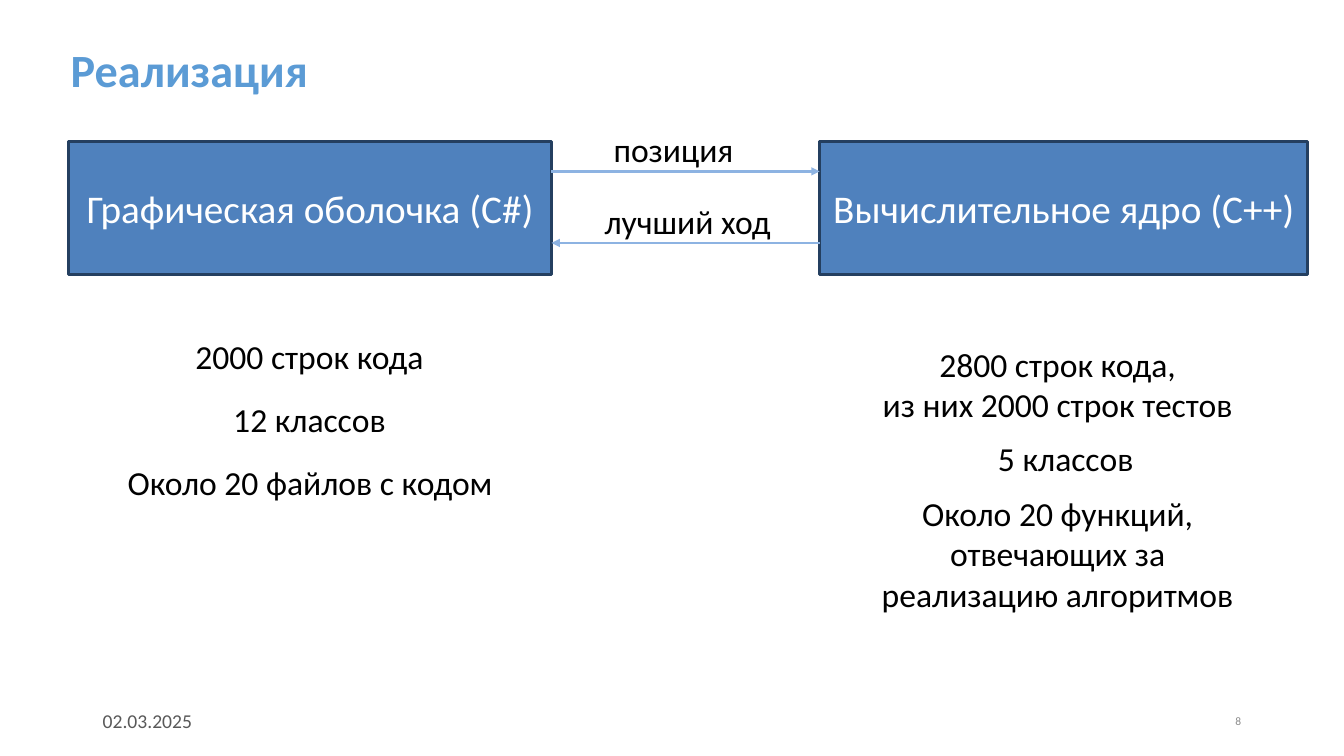
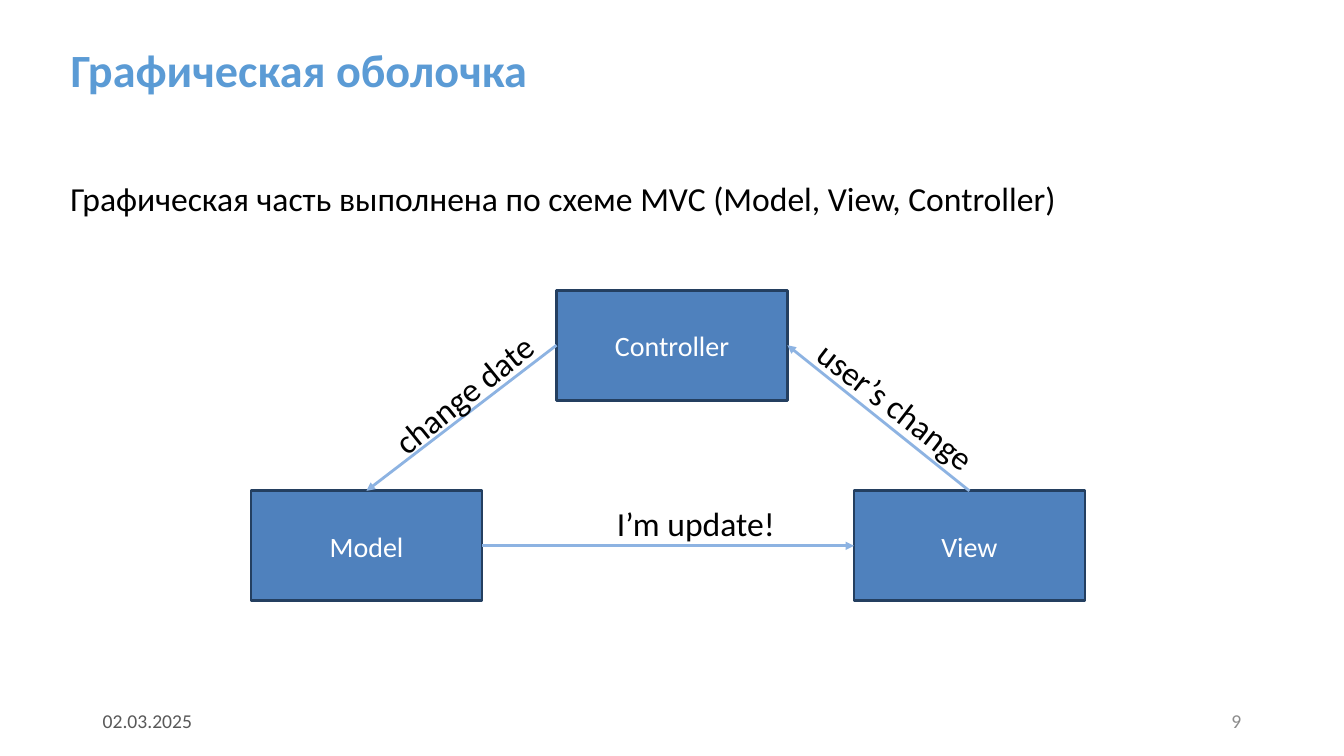
"""Two slides on an implementation: its two parts, and the MVC scheme of its shell."""
from dataclasses import dataclass

from lxml import etree
from pptx import Presentation
from pptx.dml.color import RGBColor
from pptx.enum.shapes import MSO_CONNECTOR, MSO_SHAPE
from pptx.enum.text import MSO_ANCHOR, MSO_AUTO_SIZE, PP_ALIGN
from pptx.oxml.ns import qn
from pptx.util import Inches, Pt

LEFT, CENTER, RIGHT = PP_ALIGN.LEFT, PP_ALIGN.CENTER, PP_ALIGN.RIGHT
TOP, MIDDLE = MSO_ANCHOR.TOP, MSO_ANCHOR.MIDDLE
STRAIGHT = MSO_CONNECTOR.STRAIGHT
PROCESS = MSO_SHAPE.FLOWCHART_PROCESS
SIDE_TOP, SIDE_LEFT, SIDE_RIGHT = 0, 1, 3


@dataclass(frozen=True)
class Theme:
    """Colours, type sizes and line width shared by the slides."""
    font: str = "Calibri"
    accent: str = "5B9BD5"
    ink: str = "000000"
    white: str = "FFFFFF"
    fill: str = "4F81BD"
    outline: str = "243F60"
    arrow: str = "8DB3E2"
    date: str = "595959"
    number: str = "8C8C8C"
    title_size: float = 33
    part_size: float = 28
    text_size: float = 24
    node_size: float = 20
    footer_size: float = 14
    small_size: float = 8.2
    line_width: float = 2


THEME = Theme()
WIDTH, HEIGHT = 13.33, 7.5
TITLE_AREA = (0.6, 0.13, 9.37, 1.18)
FOOTER_TOP, FOOTER_WIDTH, FOOTER_HEIGHT = 6.95, 3, 0.4
FOOTER_MARGIN = 0.92
ROW = 0.5
DATE = "02.03.2025"

PART_TOP, PART_HEIGHT = 1.4, 1.32
PARTS = [("Графическая оболочка (C#)", 0.68, 4.79), ("Вычислительное ядро (C++)", 8.13, 4.84)]
MESSAGES = [
    ("позиция", 1.7, (5.98, 1.23, 1.4, 0.37), False),
    ("лучший ход", 2.41, (5.47, 1.94, 2.7, 0.37), True),
]
STATS = [
    ("2000 строк кода", (0.65, 3.28, 4.84, ROW)),
    ("12 классов", (0.65, 3.91, 4.84, ROW)),
    ("Около 20 файлов с кодом", (1.12, 4.53, 3.91, ROW)),
    ("2800 строк кода,\nиз них 2000 строк тестов", (8.07, 3.36, 4.84, 0.91)),
    ("5 классов", (8.15, 4.3, 4.84, ROW)),
    ("Около 20 функций, отвечающих за реализацию алгоритмов", (8.46, 4.84, 4.06, 1.31)),
]

SCHEME = "Графическая часть выполнена по схеме MVC (Model, View, Controller)"
NODE_WIDTH, NODE_HEIGHT = 2.29, 1.09
NODES = {"View": (8.47, 4.87), "Controller": (5.52, 2.88), "Model": (2.49, 4.87)}
LINKS = [
    ("Model", SIDE_RIGHT, "View", SIDE_LEFT),
    ("View", SIDE_TOP, "Controller", SIDE_RIGHT),
    ("Controller", SIDE_LEFT, "Model", SIDE_TOP),
]
LINK_LABELS = [
    ("I’m update!", (6.02, 4.94, 1.78, ROW), 0),
    ("user’s change", (7.81, 3.94, 2.58, ROW), 37.8),
    ("change date", (3.67, 3.65, 1.87, ROW), 321.1),
]


def color(value):
    """Turn a hex string into a colour."""
    return RGBColor.from_string(value)


def write(shape, text, size=THEME.text_size, ink=THEME.ink, bold=False,
          align=LEFT, anchor=TOP, wrap=True, spacing=None):
    """Fill a shape with formatted text, one paragraph a line."""
    frame = shape.text_frame
    frame.text = text
    frame.auto_size = MSO_AUTO_SIZE.NONE
    frame.word_wrap = wrap
    frame.vertical_anchor = anchor
    for para in frame.paragraphs:
        para.alignment = align
        para.line_spacing = spacing
        for span in para.runs:
            span.font.name = THEME.font
            span.font.size = Pt(size)
            span.font.bold = bold
            span.font.color.rgb = color(ink)


def add_text(page, text, area, rotation=0, **style):
    """Add a text box."""
    box = page.shapes.add_textbox(*map(Inches, area))
    box.rotation = rotation
    write(box, text, **style)


def add_process(page, text, area, size):
    """Add a filled process box."""
    box = page.shapes.add_shape(PROCESS, *map(Inches, area))
    box.shadow.inherit = False
    box.fill.solid()
    box.fill.fore_color.rgb = color(THEME.fill)
    box.line.color.rgb = color(THEME.outline)
    box.line.width = Pt(THEME.line_width)
    write(box, text, size=size, ink=THEME.white, align=CENTER, anchor=MIDDLE)
    return box


def add_arrow(page, start=(0, 0), end=(0, 0)):
    """Add a straight arrow with its head at the end."""
    arrow = page.shapes.add_connector(STRAIGHT, *map(Inches, (*start, *end)))
    arrow.line.color.rgb = color(THEME.arrow)
    arrow.line.width = Pt(THEME.line_width)
    properties = arrow.line._get_or_add_ln()
    etree.SubElement(properties, qn("a:tailEnd"), type="triangle")
    etree.SubElement(properties.getparent(), qn("a:effectLst"))
    return arrow


def add_page(deck, title, number, number_size=THEME.footer_size):
    """Add a slide with its title, date and number."""
    page = deck.slides.add_slide(deck.slide_layouts[5])
    heading = page.shapes.title
    heading.left, heading.top, heading.width, heading.height = map(Inches, TITLE_AREA)
    write(heading, title, size=THEME.title_size, ink=THEME.accent, bold=True,
          anchor=MIDDLE, spacing=0.9)
    number_left = WIDTH - FOOTER_MARGIN - FOOTER_WIDTH
    footers = [
        (DATE, FOOTER_MARGIN, THEME.footer_size, THEME.date, LEFT),
        (number, number_left, number_size, THEME.number, RIGHT),
    ]
    for text, left, size, ink, align in footers:
        add_text(page, text, (left, FOOTER_TOP, FOOTER_WIDTH, FOOTER_HEIGHT),
                 size=size, ink=ink, align=align, anchor=MIDDLE)
    return page


def build_parts(deck):
    """Build the slide with the two program parts."""
    page = add_page(deck, "Реализация", "8", THEME.small_size)
    for text, left, width in PARTS:
        add_process(page, text, (left, PART_TOP, width, PART_HEIGHT), THEME.part_size)
    shell_edge = PARTS[0][1] + PARTS[0][2]
    core_edge = PARTS[1][1]
    for text, level, area, backward in MESSAGES:
        ends = [(shell_edge, level), (core_edge, level)]
        add_arrow(page, *(reversed(ends) if backward else ends))
        add_text(page, text, area, align=CENTER)
    for text, area in STATS:
        add_text(page, text, area, align=CENTER)


def build_scheme(deck):
    """Build the slide with the MVC scheme."""
    page = add_page(deck, "Графическая оболочка", "9")
    add_text(page, SCHEME, (0.6, 1.72, 10.07, ROW), wrap=False)
    boxes = {
        name: add_process(page, name, (*corner, NODE_WIDTH, NODE_HEIGHT), THEME.node_size)
        for name, corner in NODES.items()
    }
    for source, source_side, target, target_side in LINKS:
        arrow = add_arrow(page)
        arrow.begin_connect(boxes[source], source_side)
        arrow.end_connect(boxes[target], target_side)
    for text, area, rotation in LINK_LABELS:
        add_text(page, text, area, rotation, wrap=False)


def main():
    """Build and save the deck."""
    deck = Presentation()
    deck.slide_width, deck.slide_height = Inches(WIDTH), Inches(HEIGHT)
    build_parts(deck)
    build_scheme(deck)
    deck.save("out.pptx")


if __name__ == "__main__":
    main()
